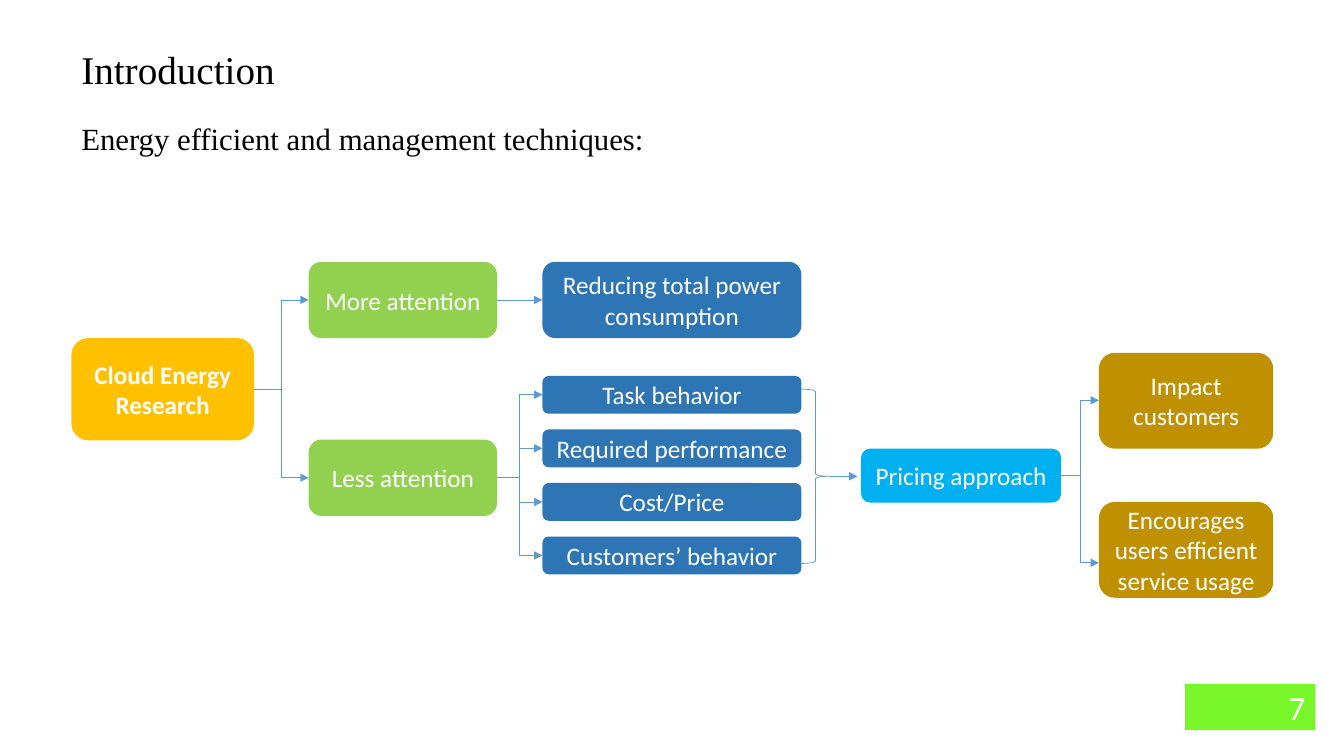
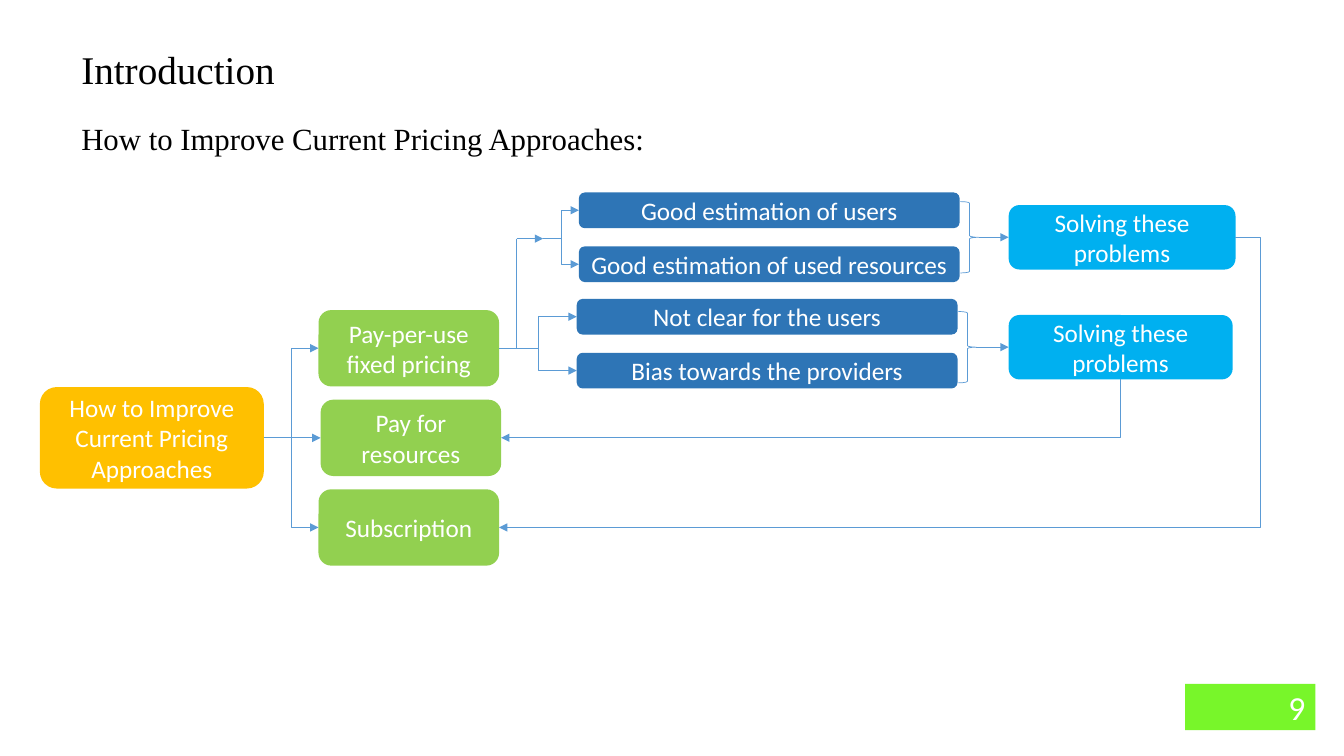
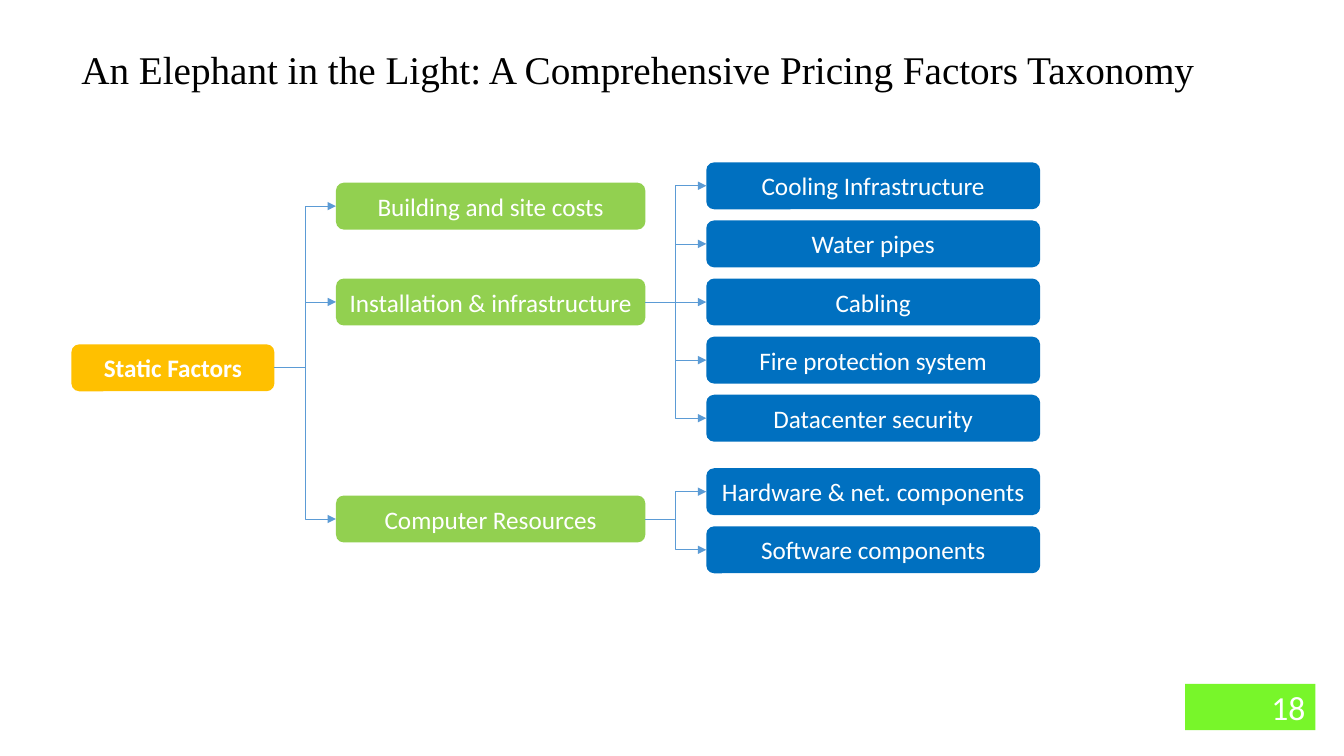
"""Build three slides of tree diagrams about cloud pricing research."""
from lxml import etree
from pptx import Presentation
from pptx.dml.color import RGBColor
from pptx.enum.shapes import MSO_CONNECTOR, MSO_SHAPE
from pptx.enum.text import MSO_ANCHOR, MSO_AUTO_SIZE, PP_ALIGN
from pptx.oxml.ns import qn
from pptx.util import Pt

RECTANGLE = MSO_SHAPE.RECTANGLE
ROUNDED = MSO_SHAPE.ROUNDED_RECTANGLE
BRACE = MSO_SHAPE.RIGHT_BRACE
STRAIGHT = MSO_CONNECTOR.STRAIGHT
ELBOW = MSO_CONNECTOR.ELBOW
MIDDLE = MSO_ANCHOR.MIDDLE
GROW = MSO_AUTO_SIZE.SHAPE_TO_FIT_TEXT
CENTER, RIGHT = PP_ALIGN.CENTER, PP_ALIGN.RIGHT

color = RGBColor.from_string
WHITE, BLACK = "FFFFFF", "000000"
AMBER, GREEN, LIME = "FFC000", "92D050", "78F62A"
BLUE, DEEP_BLUE, SKY, OCHRE = "2E75B6", "0070C0", "00B0F0", "BF9000"
LINE = "5B9BD5"
BODY_FONT, TITLE_FONT = "Calibri", "Times New Roman"
TOP_SITE, LEFT_SITE, BOTTOM_SITE, RIGHT_SITE = range(4)


def add_box(slide, text, left, top, width, height, fill,
            bold=False, kind=ROUNDED, size=18, alignment=CENTER):
    shape = slide.shapes.add_shape(kind, Pt(left), Pt(top), Pt(width), Pt(height))
    shape.shadow.inherit = False
    shape.fill.solid()
    shape.fill.fore_color.rgb = color(fill)
    shape.line.fill.background()
    frame = shape.text_frame
    frame.text = text
    frame.word_wrap = True
    frame.vertical_anchor = MIDDLE
    paragraph = frame.paragraphs[0]
    paragraph.alignment = alignment
    font = paragraph.runs[0].font
    font.name, font.size, font.bold = BODY_FONT, Pt(size), bold
    font.color.rgb = color(WHITE)
    return shape


def add_link(slide, begin_x, begin_y, end_x, end_y, arrow="tailEnd"):
    kind = STRAIGHT if begin_x == end_x or begin_y == end_y else ELBOW
    link = slide.shapes.add_connector(kind, begin_x, begin_y, end_x, end_y)
    link.line.color.rgb = color(LINE)
    link.line.width = Pt(0.5)
    if arrow:
        etree.SubElement(link.line._get_or_add_ln(), qn("a:" + arrow), type="triangle")
    etree.SubElement(link._element.spPr, qn("a:effectLst"))
    return link


presentation = Presentation()
presentation.slide_width, presentation.slide_height = Pt(960), Pt(540)

headings = [
    ("7", "Introduction", "Energy efficient and management techniques:"),
    ("9", "Introduction", "How to Improve Current Pricing Approaches:"),
    ("18", "An Elephant in the Light: A Comprehensive Pricing Factors Taxonomy", None),
]
for number, title, subtitle in headings:
    slide = presentation.slides.add_slide(presentation.slide_layouts[6])
    add_box(slide, number, 846.5, 488.5, 93, 33, LIME,
            kind=RECTANGLE, size=24, alignment=RIGHT)
    for text, top, width, height, size in [(title, 29, 888.5, 41, 28),
                                           (subtitle, 82, 852, 34, 22)]:
        if text:
            heading = slide.shapes.add_textbox(Pt(51), Pt(top), Pt(width), Pt(height))
            frame = heading.text_frame
            frame.text = text
            frame.word_wrap = True
            frame.auto_size = GROW
            font = frame.paragraphs[0].runs[0].font
            font.name, font.size = TITLE_FONT, Pt(size)
            font.color.rgb = color(BLACK)
research, improvement, taxonomy = presentation.slides

energy = add_box(research, "Cloud Energy Research", 51, 241.5, 130.5, 73, AMBER, bold=True)
more = add_box(research, "More attention", 220.5, 187, 134.5, 54.5, GREEN)
less = add_box(research, "Less attention", 220.5, 314, 134.5, 54.5, GREEN)
reducing = add_box(research, "Reducing total power consumption", 387.5, 187, 185, 54.5, BLUE)
topics = ["Task behavior", "Required performance", "Cost/Price", "Customers’ behavior"]
topic_boxes = [add_box(research, topic, 387.5, 268.5 + 38.25 * row, 185, 27, BLUE)
               for row, topic in enumerate(topics)]
add_box(research, "Pricing approach", 615, 320.5, 143, 38.5, SKY)
add_box(research, "Impact customers", 785, 252, 124.5, 68.5, OCHRE)
add_box(research, "Encourages users efficient service usage", 785, 358.5, 124.5, 68.5, OCHRE)

improve = add_box(improvement, "How to Improve Current Pricing Approaches",
                  28.5, 276.5, 160, 72.5, AMBER)
pay_per_use = add_box(improvement, "Pay-per-use fixed pricing", 227.5, 221.5, 129, 54.5, GREEN)
pay_resources = add_box(improvement, "Pay for resources", 229, 285.5, 129, 54.5, GREEN)
subscription = add_box(improvement, "Subscription", 227.5, 349.5, 129, 54.5, GREEN)
for row, text in enumerate(["Good estimation of users", "Good estimation of used resources"]):
    add_box(improvement, text, 413.5, 137.5 + 38.5 * row, 272, 25.5, BLUE)
drawback_boxes = [add_box(improvement, text, 412, 213.5 + 38.5 * row, 272, 25.5, BLUE)
                  for row, text in enumerate(["Not clear for the users",
                                              "Bias towards the providers"])]
solving_estimates = add_box(improvement, "Solving these problems", 720.5, 146.5, 162, 46, SKY)
solving_drawbacks = add_box(improvement, "Solving these problems", 720.5, 225, 160, 46, SKY)

static = add_box(taxonomy, "Static Factors", 51, 246, 145, 33.5, AMBER, bold=True)
building, installation, computer = [
    add_box(taxonomy, text, 240, top, 221, 33.5, GREEN)
    for text, top in [("Building and site costs", 130.5),
                      ("Installation & infrastructure", 199),
                      ("Computer Resources", 354)]]
installation_boxes, computer_boxes = [
    [add_box(taxonomy, text, 504.5, top + 41.5 * row, 238.5, 33.5, DEEP_BLUE)
     for row, text in enumerate(texts)]
    for top, texts in [
        (116, ["Cooling Infrastructure", "Water pipes", "Cabling",
               "Fire protection system", "Datacenter security"]),
        (334.5, ["Hardware & net. components", "Software components"])]]

branches = [
    (research, energy, [more, less]),
    (research, more, [reducing]),
    (research, less, topic_boxes),
    (improvement, improve, [pay_per_use, pay_resources, subscription]),
    (improvement, pay_per_use, drawback_boxes),
    (taxonomy, static, [building, installation, computer]),
    (taxonomy, installation, installation_boxes),
    (taxonomy, computer, computer_boxes),
]
for slide, parent, children in branches:
    for child in children:
        link = add_link(slide, parent.left + parent.width, parent.top + parent.height // 2,
                        child.left, child.top + child.height // 2)
        link.begin_connect(parent, RIGHT_SITE)
        link.end_connect(child, LEFT_SITE)

braces = [
    (research, 572.5, 278, 20, 124.5, 612.5),
    (improvement, 686, 144, 13, 51, 720.5),
    (improvement, 684.5, 222.5, 13, 51, 720.5),
]
for slide, left, top, width, height, arrow_end in braces:
    brace = slide.shapes.add_shape(BRACE, Pt(left), Pt(top), Pt(width), Pt(height))
    brace.shadow.inherit = False
    brace.fill.background()
    brace.line.color.rgb = color(LINE)
    brace.line.width = Pt(0.5)
    middle = Pt(top + height / 2)
    add_link(slide, Pt(left + width), middle, Pt(arrow_end), middle)

free_links = [
    (research, 758, 339.5, 785, 286, "tailEnd"),
    (research, 758, 339.5, 785, 402, "tailEnd"),
    (improvement, 369, 170.5, 369, 248.5, None),
    (improvement, 369, 170.5, 388, 170.5, "tailEnd"),
    (improvement, 388, 170.5, 413.5, 150.25, "tailEnd"),
    (improvement, 388, 170.5, 413.5, 188.75, "tailEnd"),
]
for slide, *ends, arrow in free_links:
    add_link(slide, *map(Pt, ends), arrow=arrow)

resources_return = add_link(improvement, Pt(358), Pt(312.75), Pt(800.5), Pt(271), "headEnd")
resources_return._element.spPr.find(qn("a:prstGeom")).set("prst", "bentConnector2")
resources_return.begin_connect(pay_resources, RIGHT_SITE)
resources_return.end_connect(solving_drawbacks, BOTTOM_SITE)

subscription_return = add_link(improvement, Pt(882.5), Pt(169.5), Pt(356.5), Pt(376.75))
bend = subscription_return._element.spPr.find(qn("a:prstGeom")).find(qn("a:avLst"))
etree.SubElement(bend, qn("a:gd"), name="adj1", fmla="val -3400")
subscription_return.begin_connect(solving_estimates, RIGHT_SITE)
subscription_return.end_connect(subscription, RIGHT_SITE)

presentation.save("out.pptx")
